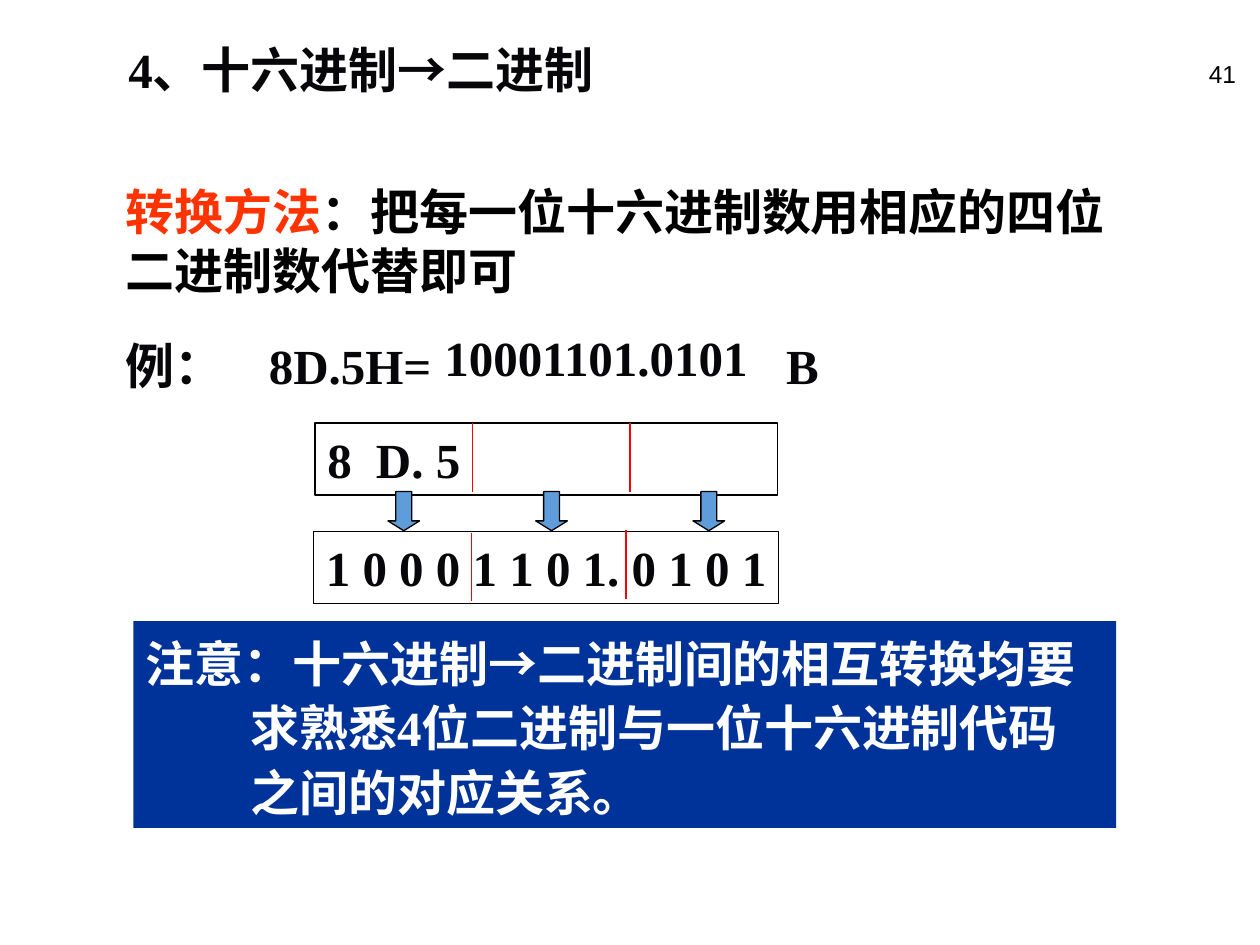
import lxml.etree
import pptx
import pptx.dml.color
import pptx.enum.shapes
import pptx.enum.text
import pptx.oxml.ns
import pptx.util

Cm = pptx.util.Cm
SHAPES = pptx.enum.shapes.MSO_SHAPE
ALIGN = pptx.enum.text.PP_ALIGN
COLORS = {
    "ink": "070709",
    "black": "000000",
    "white": "FFFFFF",
    "accent": "FF3300",
    "divider": "FF0000",
    "note": "003399",
    "arrow": "5E9CDA",
}


def rgb(name):
    return pptx.dml.color.RGBColor.from_string(COLORS[name])


class SlideBuilder:
    font = "Times New Roman"
    size = 28
    line_width = 0.75

    def __init__(self, slide):
        self.slide = slide

    def fill_text(self, frame, runs, color="ink", size=None, font=None, bold=True,
                  align=ALIGN.LEFT, spacing=None, hanging=0, tabs=(), wrap=True):
        """Fill the frame with one paragraph; runs are (text, own colour or None, underlined)."""
        frame.word_wrap = wrap
        frame.vertical_anchor = pptx.enum.text.MSO_ANCHOR.TOP
        paragraph = frame.paragraphs[0]
        paragraph.alignment = align
        if spacing:
            paragraph.line_spacing = spacing
        properties = paragraph._p.get_or_add_pPr()
        if hanging:
            properties.set("marL", str(Cm(hanging)))
            properties.set("indent", str(-Cm(hanging)))
        if tabs:
            qn = pptx.oxml.ns.qn
            stops = lxml.etree.SubElement(properties, qn("a:tabLst"))
            for position in tabs:
                lxml.etree.SubElement(stops, qn("a:tab"), pos=str(Cm(position)), algn="l")
        paragraph.font.name = font or self.font
        paragraph.font.size = pptx.util.Pt(size or self.size)
        paragraph.font.bold = bold
        paragraph.font.color.rgb = rgb(color)
        for text, own_color, underlined in runs:
            run = paragraph.add_run()
            run.text = text
            if own_color:
                run.font.color.rgb = rgb(own_color)
            if underlined:
                run.font.underline = True

    def text(self, left, top, width, height, runs, **style):
        box = self.slide.shapes.add_textbox(Cm(left), Cm(top), Cm(width), Cm(height))
        self.fill_text(box.text_frame, runs, **style)

    def shape(self, kind, left, top, width, height, fill=None, line="black"):
        shape = self.slide.shapes.add_shape(kind, Cm(left), Cm(top), Cm(width), Cm(height))
        shape.shadow.inherit = False
        if fill:
            shape.fill.solid()
            shape.fill.fore_color.rgb = rgb(fill)
        else:
            shape.fill.background()
        if line:
            shape.line.color.rgb = rgb(line)
            shape.line.width = pptx.util.Pt(self.line_width)
        else:
            shape.line.fill.background()
        return shape

    def panel(self, left, top, width, height, runs, fill=None, line="black", **style):
        panel = self.shape(SHAPES.RECTANGLE, left, top, width, height, fill, line)
        self.fill_text(panel.text_frame, runs, **style)

    def arrow(self, left, top):
        arrow = self.shape(SHAPES.DOWN_ARROW, left, top, 0.64, 0.79, "arrow")
        arrow.adjustments[1] = 0.31

    def divider(self, x, top, height=1.38):
        divider = self.slide.shapes.add_connector(
            pptx.enum.shapes.MSO_CONNECTOR.STRAIGHT, Cm(x), Cm(top), Cm(x), Cm(top + height))
        divider.line.color.rgb = rgb("divider")
        divider.line.width = pptx.util.Pt(self.line_width)
        lxml.etree.SubElement(divider._element.spPr, pptx.oxml.ns.qn("a:effectLst"))


def main():
    deck = pptx.Presentation()
    deck.slide_width, deck.slide_height = Cm(25.4), Cm(19.05)
    builder = SlideBuilder(deck.slides.add_slide(deck.slide_layouts[6]))

    builder.text(19.89, 1.07, 5.28, 1.27, [("41", None, False)], color="black",
                 size=14, font="Arial", bold=False, align=ALIGN.RIGHT)
    builder.text(2.34, 0.56, 23.06, 1.57, [("4、十六进制→二进制", None, False)], spacing=1.1)
    builder.text(2.29, 3.53, 21.13, 2.64, [
        ("转换方法", "accent", False),
        ("：把每一位十六进制数用相应的四位二进制数代替即可", None, False),
    ], color="black")

    builder.text(2.29, 6.53, 20.32, 1.57, [
        ("例：\t8D.5H=", None, False), ("\t", None, True), ("B", None, False),
    ], spacing=1.1, tabs=(2.88, 13.31))
    builder.text(8.71, 6.48, 7.16, 1.45, [("10001101.0101", None, False)], wrap=False)

    builder.panel(6.35, 8.53, 9.32, 1.45, [("8\tD. 5", None, False)], tabs=(0.98,))
    builder.panel(6.32, 10.72, 9.37, 1.45, [("1 0 0 0 1 1 0 1. 0 1 0 1", None, False)],
                  wrap=False)
    for arrow_left in (7.82, 10.8, 13.97):
        builder.arrow(arrow_left, 9.91)
    for x, top in ((9.53, 8.53), (12.7, 8.53), (9.5, 10.74), (12.62, 10.69)):
        builder.divider(x, top)

    builder.panel(2.69, 12.52, 19.81, 4.17, [
        ("注意：十六进制→二进制间的相互转换均要求熟悉4位二进制与一位十六进制代码之间的对应关系。",
         None, False),
    ], fill="note", line=None, color="white", spacing=1.1, hanging=2.11)

    deck.save("out.pptx")


if __name__ == "__main__":
    main()
